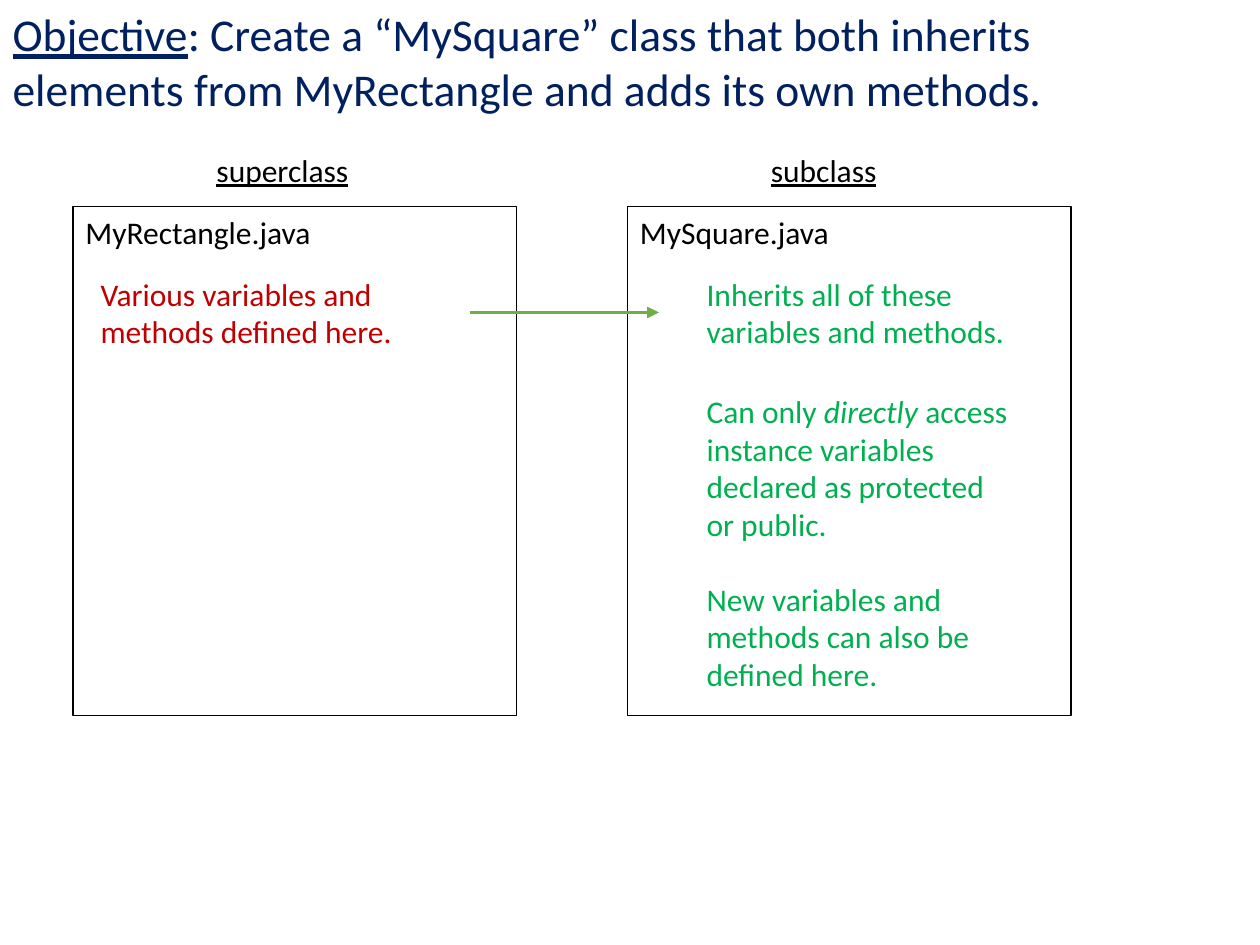
import pptx
import pptx.util
import pptx.dml.color
import pptx.enum.shapes
import pptx.enum.text
import pptx.oxml.ns
import lxml.etree

Inches = pptx.util.Inches
RGBColor = pptx.dml.color.RGBColor

NAVY = RGBColor(0x00, 0x20, 0x60)
BLACK = RGBColor(0x00, 0x00, 0x00)
RED = RGBColor(0xC0, 0x00, 0x00)
GREEN = RGBColor(0x00, 0xB0, 0x50)
ARROW_GREEN = RGBColor(0x70, 0xAD, 0x47)

FONT = "Calibri"
SLIDE_WIDTH, SLIDE_HEIGHT = 10, 7.5
CARD_LEFT, CARD_TOP, CARD_WIDTH, CARD_HEIGHT = 0.58, 1.64, 3.52, 4.04
CARD_PITCH = 4.4

# Each run is (text, style), where style is "", "underline" or "italic".
TITLE = [
    ("Objective", "underline"),
    (": Create a “MySquare” class that both inherits elements from "
     "MyRectangle and adds its own methods.", ""),
]

# Each note is (top within the card, height, runs).
CARDS = [
    {
        "role": "superclass", "file": "MyRectangle.java", "color": RED,
        "indent": 0.12, "note_width": 3.3,
        "notes": [
            (0.49, 0.71, [("Various variables and methods defined here.", "")]),
        ],
    },
    {
        "role": "subclass", "file": "MySquare.java", "color": GREEN,
        "indent": 0.53, "note_width": 2.67,
        "notes": [
            (0.49, 0.71, [("Inherits all of these variables and methods.", "")]),
            (1.42, 1.31, [
                ("Can only ", ""),
                ("directly", "italic"),
                (" access instance variables declared as protected or public.", ""),
            ]),
            (2.91, 1.01, [
                ("New variables and methods can also be defined here.", ""),
            ]),
        ],
    },
]


def write_text(shape, runs, size, color):
    """Fill a shape with one left-aligned paragraph that starts at its top."""
    frame = shape.text_frame
    frame.word_wrap = True
    frame.auto_size = pptx.enum.text.MSO_AUTO_SIZE.NONE
    frame.vertical_anchor = pptx.enum.text.MSO_ANCHOR.TOP
    paragraph = frame.paragraphs[0]
    paragraph.alignment = pptx.enum.text.PP_ALIGN.LEFT
    for text, style in runs:
        run = paragraph.add_run()
        run.text = text
        run.font.name = FONT
        run.font.size = pptx.util.Pt(size)
        run.font.color.rgb = color
        run.font.underline = style == "underline"
        run.font.italic = style == "italic"


def add_text(slide, left, top, width, height, runs, color):
    """Add a text box of body size."""
    box = slide.shapes.add_textbox(
        Inches(left), Inches(top), Inches(width), Inches(height))
    write_text(box, runs, 18, color)


def place_title(slide, left, top, width, height):
    """Move the title placeholder to its box and write the objective."""
    title = slide.shapes.title
    title.left, title.top = Inches(left), Inches(top)
    title.width, title.height = Inches(width), Inches(height)
    write_text(title, TITLE, 26, NAVY)


def add_class_card(slide, card, left, top, width, height):
    """Draw a class file with its role above it and its notes inside."""
    outline = slide.shapes.add_shape(
        pptx.enum.shapes.MSO_SHAPE.RECTANGLE,
        Inches(left), Inches(top), Inches(width), Inches(height))
    outline.shadow.inherit = False
    outline.fill.background()
    outline.line.color.rgb = BLACK
    outline.line.width = pptx.util.Pt(0.75)
    write_text(outline, [(card["file"], "")], 18, BLACK)

    role_width = 1.44
    add_text(slide, left + (width - role_width) / 2, top - 0.49,
             role_width, 0.4, [(card["role"], "underline")], BLACK)
    for note_top, note_height, runs in card["notes"]:
        add_text(slide, left + card["indent"], top + note_top,
                 card["note_width"], note_height, runs, card["color"])


def add_inheritance_arrow(slide, left, top, length):
    """Draw the horizontal arrow from the superclass to the subclass."""
    arrow = slide.shapes.add_connector(
        pptx.enum.shapes.MSO_CONNECTOR.STRAIGHT,
        Inches(left), Inches(top), Inches(left + length), Inches(top))
    arrow.line.color.rgb = ARROW_GREEN
    arrow.line.width = pptx.util.Pt(2.25)
    qualified = pptx.oxml.ns.qn
    lxml.etree.SubElement(
        arrow.line._get_or_add_ln(), qualified("a:tailEnd"), type="triangle")
    lxml.etree.SubElement(arrow._element.spPr, qualified("a:effectLst"))


def build_slide(presentation):
    """Build the slide that compares the superclass with its subclass."""
    slide = presentation.slides.add_slide(presentation.slide_layouts[5])
    place_title(slide, 0, 0, 0.97 * SLIDE_WIDTH, 0.13 * SLIDE_HEIGHT)
    for column, card in enumerate(CARDS):
        add_class_card(slide, card, CARD_LEFT + column * CARD_PITCH,
                       CARD_TOP, CARD_WIDTH, CARD_HEIGHT)
    add_inheritance_arrow(slide, CARD_LEFT + 3.15, CARD_TOP + 0.84, 1.5)


def main():
    """Create the presentation and save it."""
    presentation = pptx.Presentation()
    presentation.slide_width = Inches(SLIDE_WIDTH)
    presentation.slide_height = Inches(SLIDE_HEIGHT)
    build_slide(presentation)
    presentation.save("out.pptx")


main()
